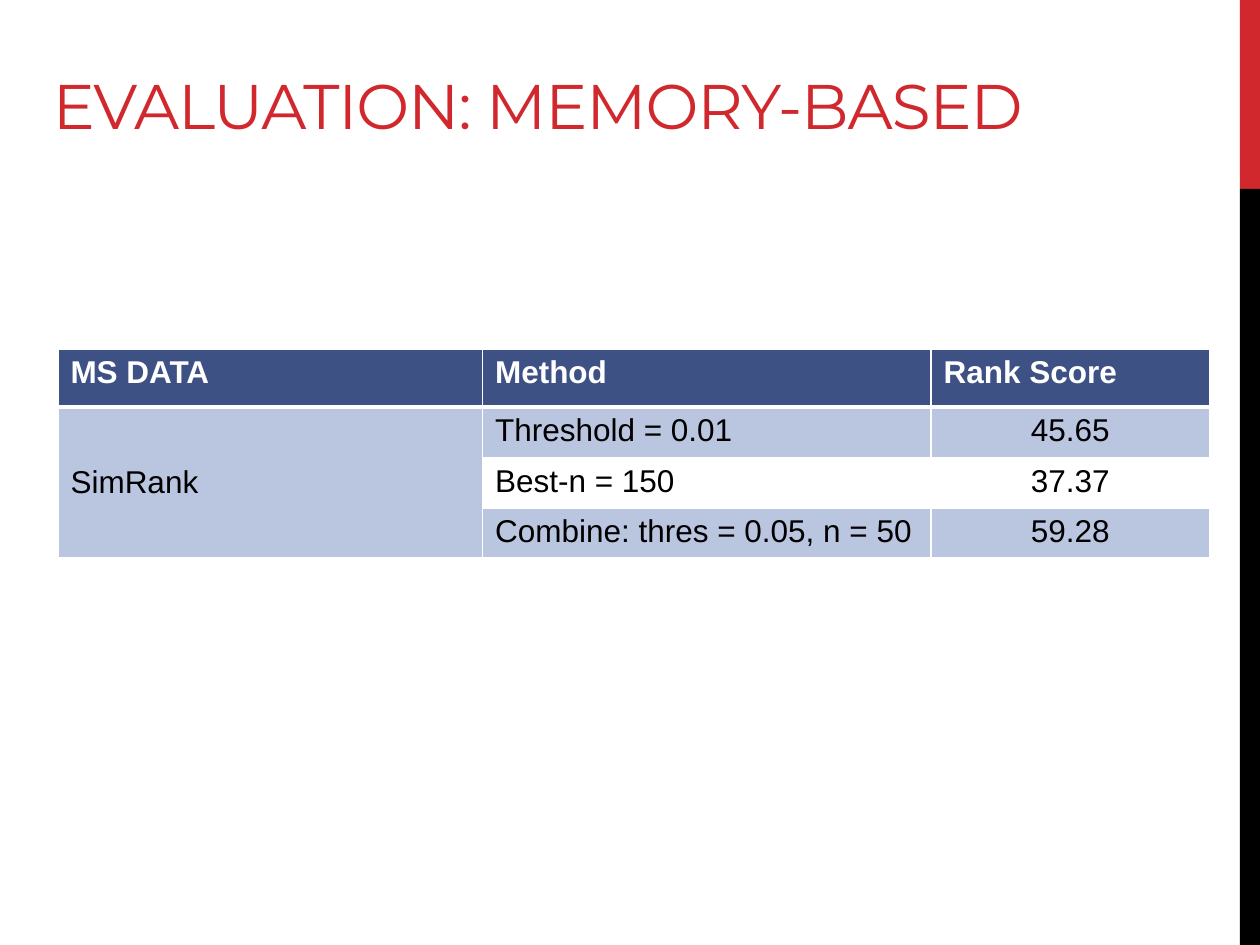
import pptx
import pptx.dml.color
import pptx.enum.shapes
import pptx.enum.text
import pptx.oxml
import pptx.util
from pptx.util import Inches

RED, NAVY, PALE = "D1282E", "3D5185", "BAC5DF"
BLACK, WHITE = "000000", "FFFFFF"
ALIGN = pptx.enum.text.PP_ALIGN
ANCHOR = pptx.enum.text.MSO_ANCHOR


def color(code):
    return pptx.dml.color.RGBColor.from_string(code)


def paint(item, code):
    item.fill.solid()
    item.fill.fore_color.rgb = color(code)


def edge(cell, side, width):
    """Draw one white border; side is L, R, T or B."""
    props = cell._tc.get_or_add_tcPr()
    line = pptx.oxml.parse_xml(
        '<a:ln%s xmlns:a="http://schemas.openxmlformats.org/drawingml/2006/main"'
        ' w="%d"><a:solidFill><a:srgbClr val="%s"/></a:solidFill></a:ln%s>'
        % (side, pptx.util.Pt(width), WHITE, side))
    props.append(line)


class Deck:
    """Holds the text style and the current slide."""

    def __init__(self, face, size):
        self.face, self.size = face, size
        self.file = pptx.Presentation()
        self.file.slide_width = Inches(10)
        self.file.slide_height = Inches(7.5)
        self.slide = self.file.slides.add_slide(self.file.slide_layouts[5])

    def add_text(self, para, text, code, face=None, size=None, bold=False):
        run = para.add_run()
        run.text = text
        run.font.name = face or self.face
        run.font.size = pptx.util.Pt(size or self.size)
        run.font.bold = bold
        run.font.color.rgb = color(code)
        return run

    def bar(self, left, top, width, height, code):
        kind = pptx.enum.shapes.MSO_SHAPE.RECTANGLE
        shape = self.slide.shapes.add_shape(
            kind, Inches(left), Inches(top), Inches(width), Inches(height))
        shape.shadow.inherit = False
        paint(shape, code)
        shape.line.fill.background()

    def title(self, text, left, top, width, height):
        shape = self.slide.shapes.title
        shape.left, shape.top = Inches(left), Inches(top)
        shape.width, shape.height = Inches(width), Inches(height)
        frame = shape.text_frame
        frame.vertical_anchor = ANCHOR.BOTTOM
        frame.auto_size = pptx.enum.text.MSO_AUTO_SIZE.NONE
        para = frame.paragraphs[0]
        para.alignment = ALIGN.LEFT
        run = self.add_text(para, text, RED, "Montserrat", 36)
        run.font._element.set("spc", "-60")

    def table(self, rows, left, top, widths, heights):
        grid = self.slide.shapes.add_table(
            len(rows), len(widths), Inches(left), Inches(top),
            Inches(sum(widths)), Inches(sum(heights))).table
        for col, width in zip(grid.columns, widths):
            col.width = Inches(width)
        for row, height in zip(grid.rows, heights):
            row.height = Inches(height)
        for r, row in enumerate(rows):
            for c, text in enumerate(row):
                self.cell(grid.cell(r, c), text, r, c)
        group = grid.cell(1, 0)
        group.merge(grid.cell(len(rows) - 1, 0))
        group.vertical_anchor = ANCHOR.MIDDLE

    def cell(self, cell, text, r, c):
        head = r == 0
        for side in "LRTB":
            thick = (head and side == "B") or (r == 1 and side == "T")
            edge(cell, side, 3 if thick else 1)
        shade = PALE if r % 2 or c == 0 else WHITE
        paint(cell, NAVY if head else shade)
        para = cell.text_frame.paragraphs[0]
        if c == 2 and not head:
            para.alignment = ALIGN.CENTER
        if text:
            self.add_text(para, text, WHITE if head else BLACK, bold=head)


def main():
    deck = Deck("Arial", 18)
    deck.bar(9.84, 0, 0.16, 1.5, RED)
    deck.bar(9.84, 1.5, 0.16, 6, BLACK)
    deck.title("EVALUATION: MEMORY-BASED", 0.32, 0.37, 9.05, 0.81)
    rows = [
        ("MS DATA", "Method", "Rank Score"),
        ("SimRank", "Threshold = 0.01", "45.65"),
        ("", "Best-n = 150", "37.37"),
        ("", "Combine: thres = 0.05, n = 50", "59.28"),
    ]
    deck.table(rows, 0.46, 2.77, (3.37, 3.56, 2.21), (0.46, 0.4, 0.4, 0.4))
    deck.file.save("out.pptx")


if __name__ == "__main__":
    main()
